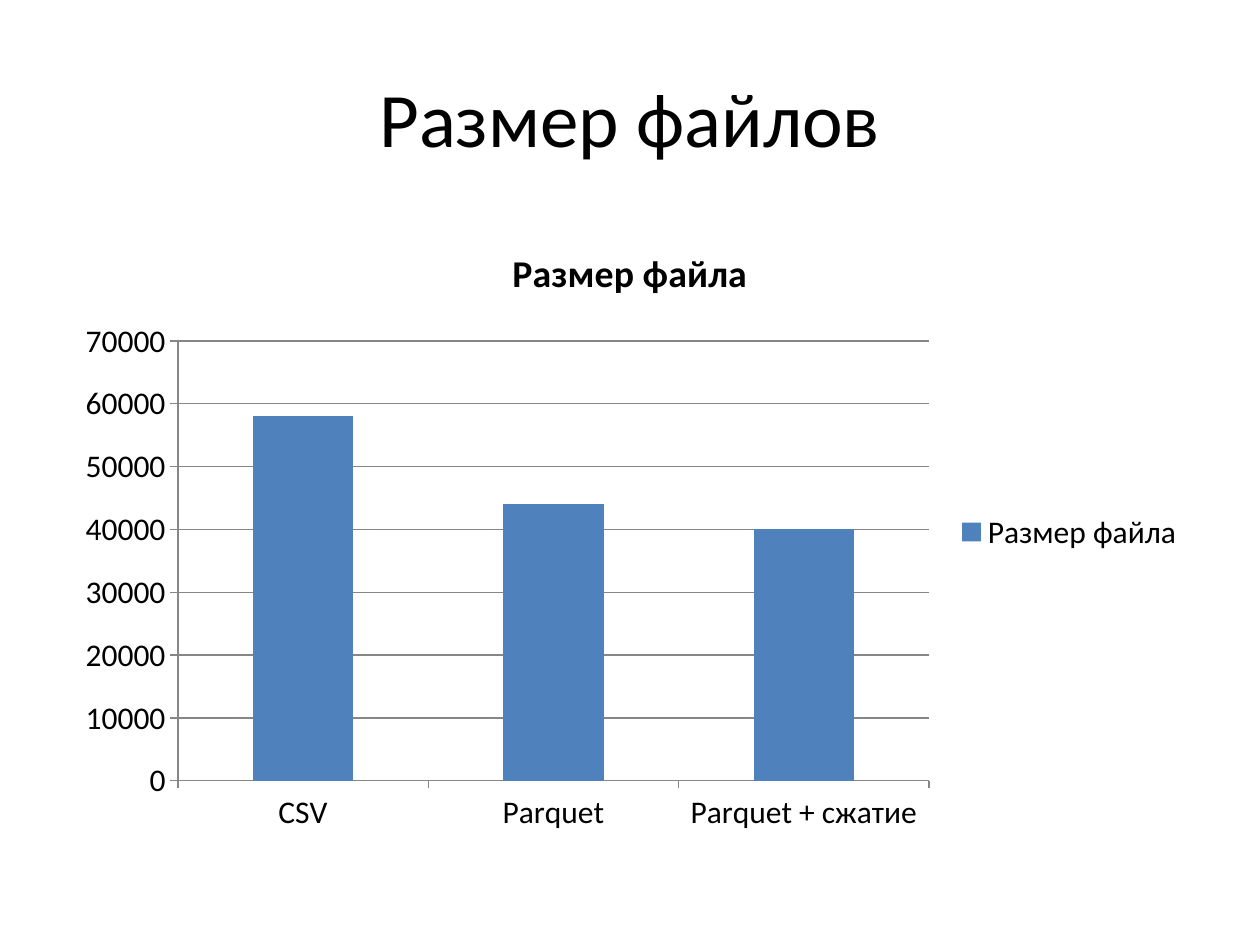
from pptx import Presentation
from pptx.chart.data import CategoryChartData
from pptx.dml.color import RGBColor
from pptx.enum.chart import XL_CHART_TYPE, XL_LEGEND_POSITION, XL_TICK_MARK
from pptx.enum.text import MSO_ANCHOR, PP_ALIGN
from pptx.util import Cm, Pt

COLUMN = XL_CHART_TYPE.COLUMN_CLUSTERED
RIGHT = XL_LEGEND_POSITION.RIGHT
OUTSIDE, NO_TICK = XL_TICK_MARK.OUTSIDE, XL_TICK_MARK.NONE
MIDDLE, CENTER = MSO_ANCHOR.MIDDLE, PP_ALIGN.CENTER

BLACK, GREY, BLUE = "000000", "868686", "4F81BD"


def rgb(value):
    return RGBColor.from_string(value)


class SlideBuilder:
    """Holds the style and the current slide."""

    font_name = "Calibri"

    def __init__(self, slide):
        self.slide = slide

    def style_font(self, font, size, bold=False):
        formats = {"name": self.font_name, "size": Pt(size), "bold": bold}
        for key, value in formats.items():
            setattr(font, key, value)
        font.color.rgb = rgb(BLACK)

    def style_line(self, line):
        line.color.rgb = rgb(GREY)
        line.width = Pt(0.75)

    def title(self, text, box, size):
        tf = self.slide.shapes.add_textbox(*box).text_frame
        for key, value in {"word_wrap": True, "vertical_anchor": MIDDLE}.items():
            setattr(tf, key, value)
        p = tf.paragraphs[0]
        p.alignment = CENTER
        r = p.add_run()
        r.text = text
        self.style_font(r.font, size)

    def column_chart(self, name, values, box, size, title_size):
        data = CategoryChartData()
        data.categories = values.keys()
        data.add_series(name, values.values())
        chart = self.slide.shapes.add_chart(COLUMN, *box, data).chart
        self.style_font(chart.font, size)

        # Chart title and legend
        chart.has_title = True
        p = chart.chart_title.text_frame.paragraphs[0]
        r = p.add_run()
        r.text = name
        self.style_font(r.font, title_size, bold=True)
        chart.has_legend = True
        chart.legend.position = RIGHT
        chart.legend.include_in_layout = False

        # Axes and gridlines
        for axis in (chart.category_axis, chart.value_axis):
            axis.major_tick_mark = OUTSIDE
            axis.minor_tick_mark = NO_TICK
            self.style_line(axis.format.line)
        axis = chart.value_axis
        axis.has_major_gridlines = True
        self.style_line(axis.major_gridlines.format.line)
        scale = {"minimum_scale": 0, "maximum_scale": 70000, "major_unit": 10000}
        for key, value in scale.items():
            setattr(axis, key, value)

        # Columns
        plot = chart.plots[0]
        plot.gap_width = 150
        plot.vary_by_categories = False
        fill = plot.series[0].format.fill
        fill.solid()
        fill.fore_color.rgb = rgb(BLUE)


def main():
    prs = Presentation()
    prs.slide_width, prs.slide_height = Cm(25.4), Cm(19.05)
    builder = SlideBuilder(prs.slides.add_slide(prs.slide_layouts[6]))
    left, width = Cm(1.27), Cm(22.86)

    # Heading
    builder.title("Размер файлов", (left, Cm(0.76), width, Cm(3.18)), 44)

    # File size by format
    sizes = {"CSV": 58000, "Parquet": 44000, "Parquet + сжатие": 40000}
    builder.column_chart("Размер файла", sizes,
                         (left, Cm(4.44), width, Cm(12.57)), 18, 21.6)

    prs.save("out.pptx")


if __name__ == "__main__":
    main()
